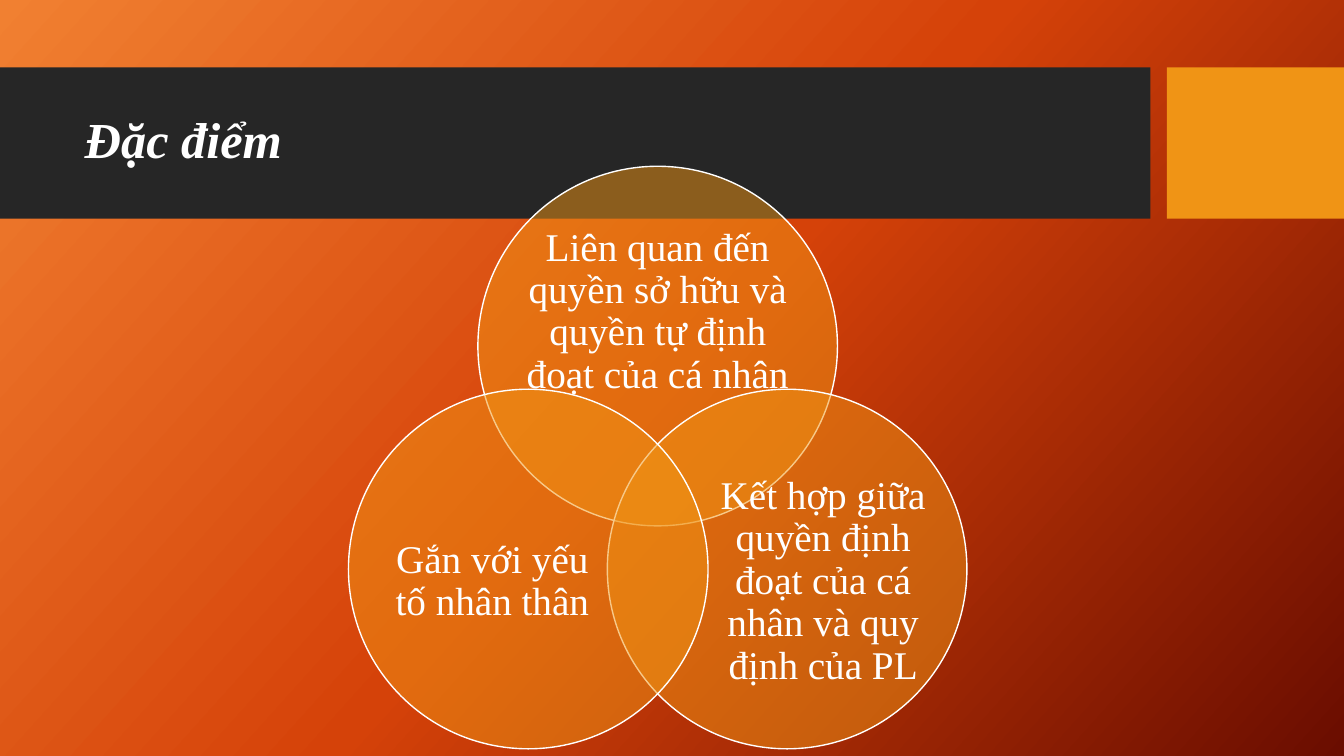
from dataclasses import dataclass

from lxml import etree
from pptx import Presentation
from pptx.dml.color import RGBColor
from pptx.enum.shapes import MSO_SHAPE
from pptx.enum.text import MSO_ANCHOR, MSO_AUTO_SIZE, PP_ALIGN
from pptx.oxml.ns import qn
from pptx.util import Cm, Pt

RECTANGLE, OVAL = MSO_SHAPE.RECTANGLE, MSO_SHAPE.OVAL
MIDDLE = MSO_ANCHOR.MIDDLE
NO_AUTOFIT = MSO_AUTO_SIZE.NONE
LEFT, CENTER = PP_ALIGN.LEFT, PP_ALIGN.CENTER


@dataclass(frozen=True)
class Theme:
    font: str = "Times New Roman"
    title_size: int = 36
    label_size: int = 28
    line_spacing: float = 0.9
    text: str = "FFFFFF"
    band: str = "262626"
    accent: str = "F09415"
    circle_opacity: int = 50
    gradient: tuple = ((0, "F18031"), (50, "D54209"), (100, "6A0D00"))
    gradient_angle: int = 42


@dataclass(frozen=True)
class Box:
    left: float
    top: float
    width: float
    height: float

    def area(self, x, y, width, height):
        return Box(self.left + x * self.width, self.top + y * self.height,
                   width * self.width, height * self.height)

    def lengths(self):
        return Cm(self.left), Cm(self.top), Cm(self.width), Cm(self.height)


THEME = Theme()
SLIDE_WIDTH, SLIDE_HEIGHT = 33.87, 19.05
HEADER = Box(0, 1.7, SLIDE_WIDTH, 3.81)
VENN = Box(8.79, 4.19, 15.57, 14.68)
SIDE_SHIFT, DROP = 0.36, 0.62
CHARACTERISTICS = (
    ("Liên quan đến quyền sở hữu và quyền tự định đoạt của cá nhân",
     (0, 0), (0.13, 0.18, 0.74, 0.45)),
    ("Kết hợp giữa quyền định đoạt của cá nhân và quy định của PL",
     (SIDE_SHIFT, DROP), (0.3, 0.26, 0.6, 0.55)),
    ("Gắn với yếu tố nhân thân",
     (-SIDE_SHIFT, DROP), (0.1, 0.26, 0.6, 0.55)),
)


def paint_background(slide):
    fill = slide.background.fill
    fill.gradient()
    fill.gradient_angle = 0
    gradient = slide.element.find(".//" + qn("a:gradFill"))
    stops = gradient.find(qn("a:gsLst"))
    for stop in list(stops):
        stops.remove(stop)
    for position, color in THEME.gradient:
        stop = etree.SubElement(stops, qn("a:gs"), pos=str(position * 1000))
        etree.SubElement(stop, qn("a:srgbClr"), val=color)
    direction = gradient.find(qn("a:lin"))
    direction.set("ang", str(THEME.gradient_angle * 60000))
    direction.set("scaled", "0")


def add_filled(shapes, preset, box, color):
    shape = shapes.add_shape(preset, *box.lengths())
    shape.shadow.inherit = False
    shape.fill.solid()
    shape.fill.fore_color.rgb = RGBColor.from_string(color)
    shape.line.fill.background()
    return shape


def write_text(frame, text, size, alignment, emphasis=None):
    frame.word_wrap = True
    frame.auto_size = NO_AUTOFIT
    frame.vertical_anchor = MIDDLE
    paragraph = frame.paragraphs[0]
    paragraph.alignment = alignment
    paragraph.line_spacing = THEME.line_spacing
    run = paragraph.add_run()
    run.text = text
    run.font.name = THEME.font
    run.font.size = Pt(size)
    run.font.bold = run.font.italic = emphasis
    run.font.color.rgb = RGBColor.from_string(THEME.text)


def build_header(slide, box):
    title = slide.shapes.title
    band = Box(box.left, box.top, 28.99, box.height)
    accent_offset = 29.41
    accent = Box(box.left + accent_offset, box.top,
                 box.width - accent_offset, box.height)
    for bar, color in ((band, THEME.band), (accent, THEME.accent)):
        shape = add_filled(slide.shapes, RECTANGLE, bar, color)
        title.element.addprevious(shape.element)
    title_box = Box(box.left + 1.88, box.top + 0.38, 26.7, 3)
    title.left, title.top, title.width, title.height = title_box.lengths()
    write_text(title.text_frame, "Đặc điểm", THEME.title_size, LEFT, True)


def build_venn(slide, box):
    diameter = box.height / (1 + DROP)
    first_left = box.left + (box.width - diameter) / 2
    shapes = slide.shapes.add_group_shape().shapes
    for characteristic, (shift, drop), label_area in CHARACTERISTICS:
        circle_box = Box(first_left + shift * diameter,
                         box.top + drop * diameter, diameter, diameter)
        circle = add_filled(shapes, OVAL, circle_box, THEME.accent)
        fill_color = circle.element.find(".//" + qn("a:srgbClr"))
        etree.SubElement(fill_color, qn("a:alpha"),
                         val=str(THEME.circle_opacity * 1000))
        circle.line.color.rgb = RGBColor.from_string(THEME.text)
        circle.line.width = Pt(1)
        label = shapes.add_textbox(*circle_box.area(*label_area).lengths())
        frame = label.text_frame
        frame.margin_left = frame.margin_right = 0
        frame.margin_top = frame.margin_bottom = 0
        write_text(frame, characteristic, THEME.label_size, CENTER)


def main():
    deck = Presentation()
    deck.slide_width, deck.slide_height = Cm(SLIDE_WIDTH), Cm(SLIDE_HEIGHT)
    title_only = deck.slide_layouts[5]
    slide = deck.slides.add_slide(title_only)
    paint_background(slide)
    build_header(slide, HEADER)
    build_venn(slide, VENN)
    deck.save("out.pptx")


if __name__ == "__main__":
    main()
